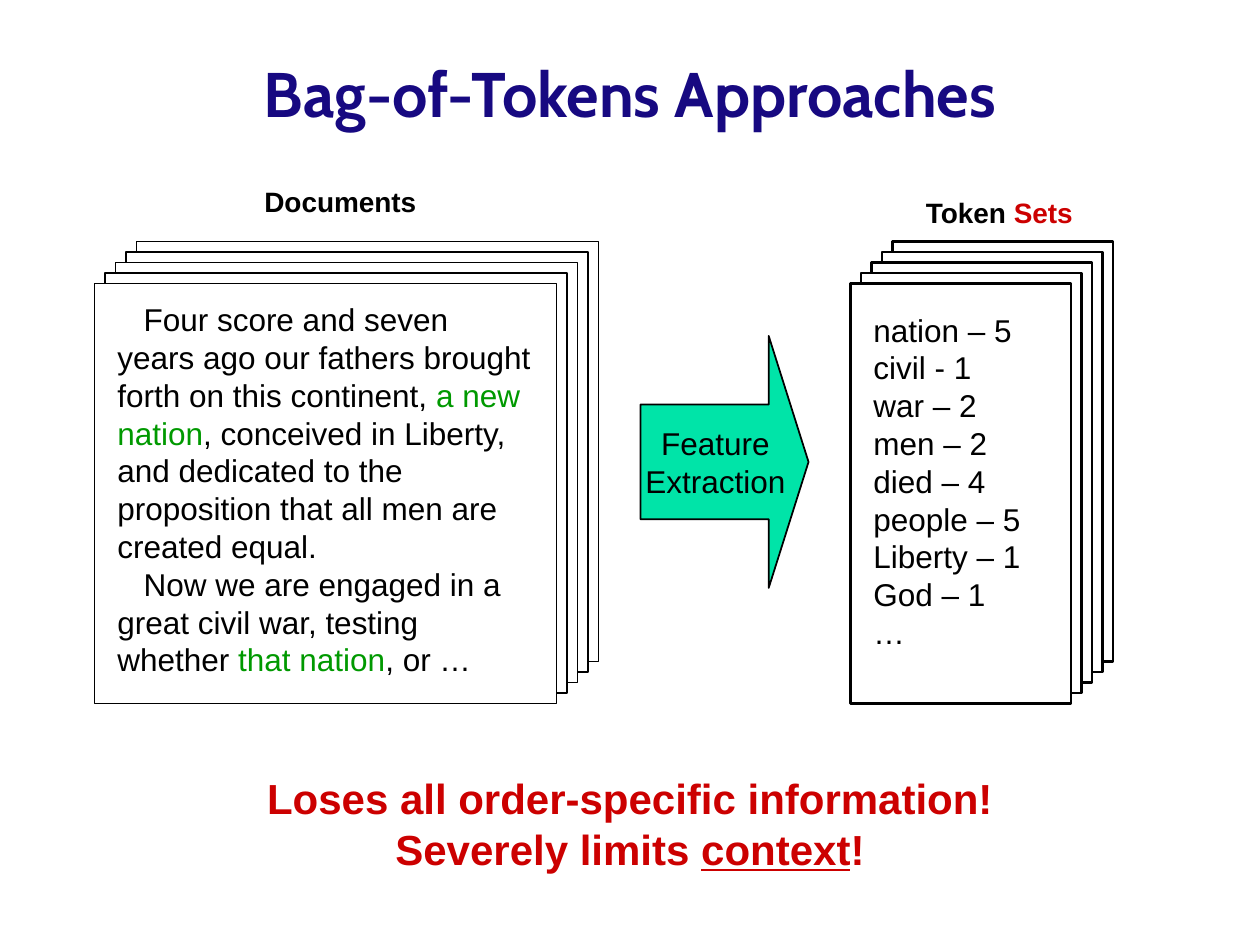
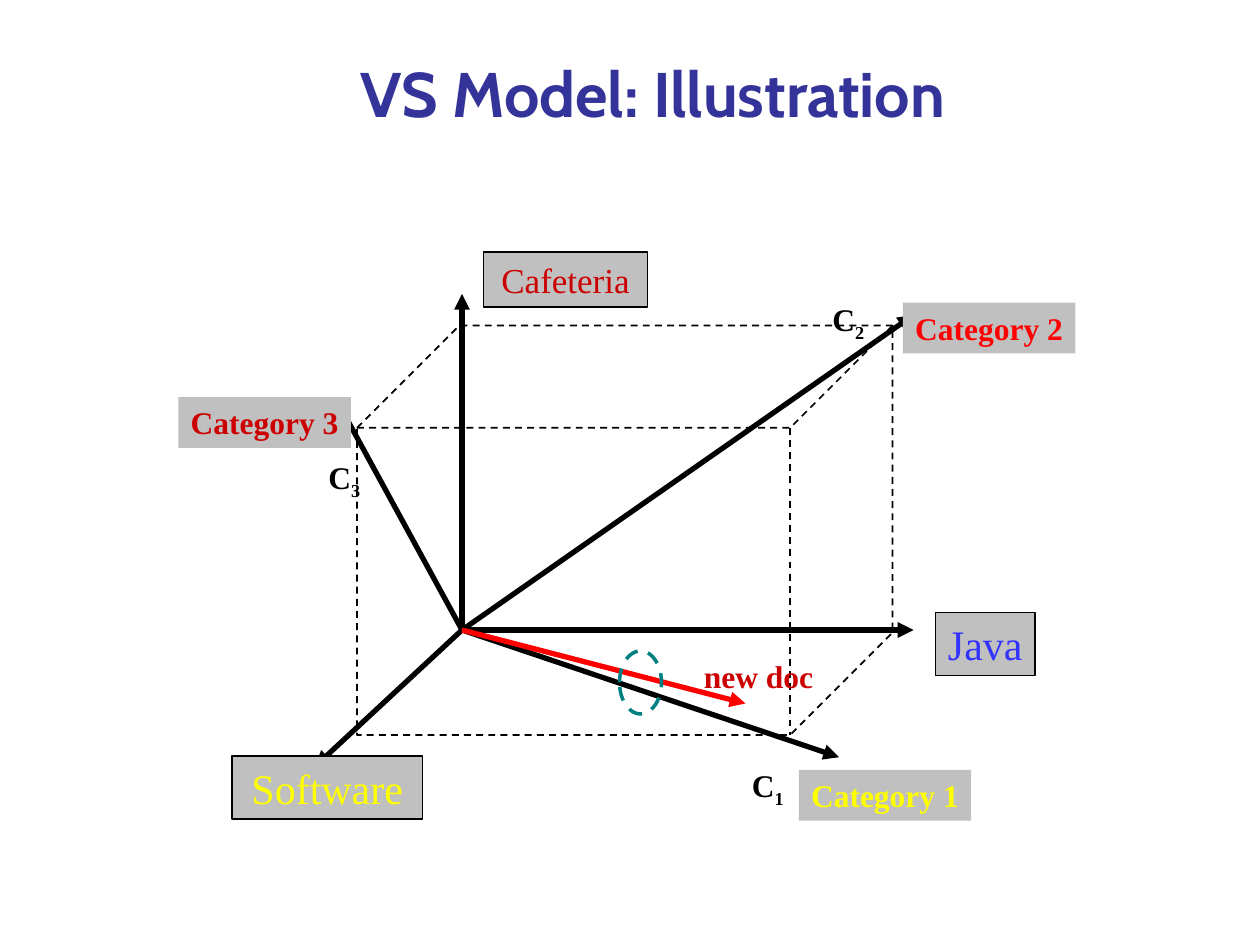
"""Build two slides on text mining: bag-of-tokens and the vector space model."""
from dataclasses import dataclass
from typing import Optional

from lxml import etree
from pptx import Presentation
from pptx.dml.color import RGBColor
from pptx.enum.dml import MSO_LINE
from pptx.enum.shapes import MSO_CONNECTOR, MSO_SHAPE
from pptx.enum.text import MSO_ANCHOR, PP_ALIGN
from pptx.oxml.ns import qn
from pptx.util import Pt

LEFT, CENTER = PP_ALIGN.LEFT, PP_ALIGN.CENTER
TOP, MIDDLE, BOTTOM = MSO_ANCHOR.TOP, MSO_ANCHOR.MIDDLE, MSO_ANCHOR.BOTTOM
RECTANGLE, ARROW = MSO_SHAPE.RECTANGLE, MSO_SHAPE.RIGHT_ARROW
CUBE, ELLIPSE = MSO_SHAPE.CUBE, MSO_SHAPE.OVAL
STRAIGHT = MSO_CONNECTOR.STRAIGHT
DASH = MSO_LINE.DASH

COLORS = {
    "black": "000000", "white": "FFFFFF", "navy": "170981", "indigo": "333399",
    "green": "009900", "mint": "00E4A8", "crimson": "CC0000", "red": "FF0000",
    "blue": "3333FF", "yellow": "FFFF00", "silver": "C0C0C0", "teal": "008080",
}
SANS, SERIF, HEADING = "Arial", "Times New Roman", "Cabin"
STACK_SIZE, STACK_STEP = 5, 6
ORIGIN = (264, 360)


@dataclass(frozen=True)
class Area:
    left: float
    top: float
    width: float
    height: float


@dataclass(frozen=True)
class Span:
    text: str
    color: Optional[str] = None
    underline: bool = False
    subscript: bool = False


@dataclass(frozen=True)
class Style:
    font: str
    size: float
    color: str = "black"
    bold: bool = False
    align: PP_ALIGN = LEFT
    anchor: MSO_ANCHOR = TOP
    wrap: bool = True
    indent: float = 0


@dataclass(frozen=True)
class Label:
    text: str
    area: Area
    color: str
    size: float = 18
    framed: bool = False


@dataclass(frozen=True)
class Vector:
    end: tuple[float, float]
    color: str = "black"


Paragraphs = list[list[Span]]

TOKENS = ["nation – 5", "civil - 1", "war – 2", "men – 2", "died – 4",
          "people – 5", "Liberty – 1", "God – 1", "…"]
SPEECH = [
    [Span("Four score and seven years ago our fathers brought forth on this continent, "),
     Span("a new nation", "green"),
     Span(", conceived in Liberty, and dedicated to the proposition "
          "that all men are created equal.")],
    [Span("Now we are engaged in a great civil war, testing whether "),
     Span("that nation", "green"), Span(", or …")],
]
VERDICT = [
    [Span("Loses all order-specific information!")],
    [Span("Severely limits "), Span("context", underline=True), Span("!")],
]
VECTORS = [
    Vector((180, 438)), Vector((522, 360)), Vector((264, 168)),
    Vector((522, 180)), Vector((479.5, 432.7)), Vector((192, 228)),
    Vector((426, 402), "red"),
]
LABELS = [
    Label("Java", Area(534.5, 350, 57, 36), "blue", 24, True),
    Label("Software", Area(132.5, 432, 109, 36), "yellow", 24, True),
    Label("Cafeteria", Area(276.5, 144, 93.5, 31.5), "crimson", 20, True),
    Label("Category 1", Area(456.5, 440, 98.5, 29), "yellow"),
    Label("Category 2", Area(516, 173, 98.5, 29), "red"),
    Label("Category 3", Area(102, 227, 98.5, 29), "crimson"),
]
CENTROIDS = {"1": (422.5, 434), "2": (468.5, 168), "3": (180.5, 258)}


def rgb(name: str) -> RGBColor:
    """Turn a palette name into a colour."""
    return RGBColor.from_string(COLORS[name])


def lines(*texts: str) -> Paragraphs:
    """Give each text a paragraph of its own."""
    return [[Span(text)] for text in texts]


def write(shape, paragraphs: Paragraphs, style: Style) -> None:
    """Fill a shape with styled paragraphs."""
    frame = shape.text_frame
    frame.word_wrap = style.wrap
    frame.vertical_anchor = style.anchor
    for index, spans in enumerate(paragraphs):
        para = frame.add_paragraph() if index else frame.paragraphs[0]
        para.alignment = style.align
        if style.indent:
            properties = para._p.get_or_add_pPr()
            properties.set("marL", "0")
            properties.set("indent", str(Pt(style.indent)))
        para.font.name = style.font
        para.font.size = Pt(style.size)
        para.font.bold = style.bold
        para.font.color.rgb = rgb(style.color)
        for span in spans:
            run = para.add_run()
            run.text = span.text
            if span.color:
                run.font.color.rgb = rgb(span.color)
            if span.underline:
                run.font.underline = True
            if span.subscript:
                run.font._element.set("baseline", "-25000")


def add_text(page, area: Area, paragraphs: Paragraphs, style: Style) -> None:
    """Place a text box."""
    box = page.shapes.add_textbox(Pt(area.left), Pt(area.top), Pt(area.width), Pt(area.height))
    write(box, paragraphs, style)


def add_figure(page, kind: MSO_SHAPE, area: Area, fill: Optional[str] = None,
               line: Optional[str] = "black", weight: float = 1, dashed: bool = False):
    """Place a preset shape without shadow."""
    shape = page.shapes.add_shape(kind, Pt(area.left), Pt(area.top),
                                  Pt(area.width), Pt(area.height))
    shape.shadow.inherit = False
    if fill:
        shape.fill.solid()
        shape.fill.fore_color.rgb = rgb(fill)
    else:
        shape.fill.background()
    if line:
        shape.line.color.rgb = rgb(line)
        shape.line.width = Pt(weight)
        if dashed:
            shape.line.dash_style = DASH
    else:
        shape.line.fill.background()
    return shape


def add_stack(page, front: Area, weight: float) -> None:
    """Draw a pile of sheets from the back to the front one."""
    for depth in reversed(range(STACK_SIZE)):
        shift = depth * STACK_STEP
        sheet = Area(front.left + shift, front.top - shift, front.width, front.height)
        add_figure(page, RECTANGLE, sheet, "white", weight=weight)


def add_vector(page, vector: Vector) -> None:
    """Draw an arrow from the origin."""
    points = [Pt(value) for value in (*ORIGIN, *vector.end)]
    arrow = page.shapes.add_connector(STRAIGHT, *points)
    arrow.line.color.rgb = rgb(vector.color)
    arrow.line.width = Pt(3)
    properties = arrow._element.spPr
    etree.SubElement(properties.find(qn("a:ln")), qn("a:tailEnd"), type="triangle")
    etree.SubElement(properties, qn("a:effectLst"))


def add_label(page, label: Label) -> None:
    """Draw a grey label, framed for an axis and plain for a category."""
    shape = add_figure(page, RECTANGLE, label.area, "silver",
                       "black" if label.framed else None, 0.75)
    style = Style(SERIF, label.size, label.color, bold=not label.framed,
                  align=CENTER, wrap=False)
    write(shape, lines(label.text), style)


def add_page(deck, title: str, area: Area, color: str):
    """Add a blank slide with its title."""
    page = deck.slides.add_slide(deck.slide_layouts[6])
    add_text(page, area, lines(title), Style(HEADING, 36, color, True, CENTER, BOTTOM))
    return page


def build_tokens_page(deck) -> None:
    """Show documents turned into token sets."""
    page = add_page(deck, "Bag-of-Tokens Approaches", Area(36, 24, 648, 54), "navy")
    caption = Style(SANS, 16, bold=True, align=CENTER, wrap=False)

    add_stack(page, Area(54, 162, 264, 240), 1)
    add_text(page, Area(60, 168, 252, 223), SPEECH, Style(SANS, 18, indent=15))
    add_text(page, Area(141.5, 102, 106, 26.5), lines("Documents"), caption)

    add_stack(page, Area(486, 162, 126, 240), 1.25)
    add_text(page, Area(492, 174, 114, 202), lines(*TOKENS), Style(SANS, 18))
    add_text(page, Area(518, 108, 106, 26.5),
             [[Span("Token "), Span("Sets", "crimson")]], caption)

    arrow = add_figure(page, ARROW, Area(366, 192, 96, 144), "mint")
    arrow.adjustments[0], arrow.adjustments[1] = 0.455, 0.237
    write(arrow, lines("Feature", "Extraction"),
          Style(SANS, 18, align=CENTER, anchor=MIDDLE, wrap=False))

    add_text(page, Area(0, 438, 720, 65), VERDICT,
             Style(SANS, 24, "crimson", True, CENTER))


def build_vector_page(deck) -> None:
    """Show documents and categories as vectors in term space."""
    page = add_page(deck, "VS Model: Illustration", Area(66, 30, 614, 48), "indigo")
    add_figure(page, CUBE, Area(204, 186, 306, 234), dashed=True)
    for vector in VECTORS:
        add_vector(page, vector)
    for label in LABELS:
        add_label(page, label)
    for number, (left, top) in CENTROIDS.items():
        add_text(page, Area(left, top, 32.5, 31.5),
                 [[Span("C"), Span(number, subscript=True)]],
                 Style(SERIF, 18, bold=True, wrap=False))
    add_text(page, Area(393.5, 372, 80, 29), lines("new doc"),
             Style(SERIF, 18, "crimson", True, CENTER, wrap=False))
    add_figure(page, ELLIPSE, Area(354, 372, 24, 36), line="teal", weight=2, dashed=True)


def main() -> None:
    """Build and save the deck."""
    deck = Presentation()
    deck.slide_width, deck.slide_height = Pt(720), Pt(540)
    build_tokens_page(deck)
    build_vector_page(deck)
    deck.save("out.pptx")


if __name__ == "__main__":
    main()
